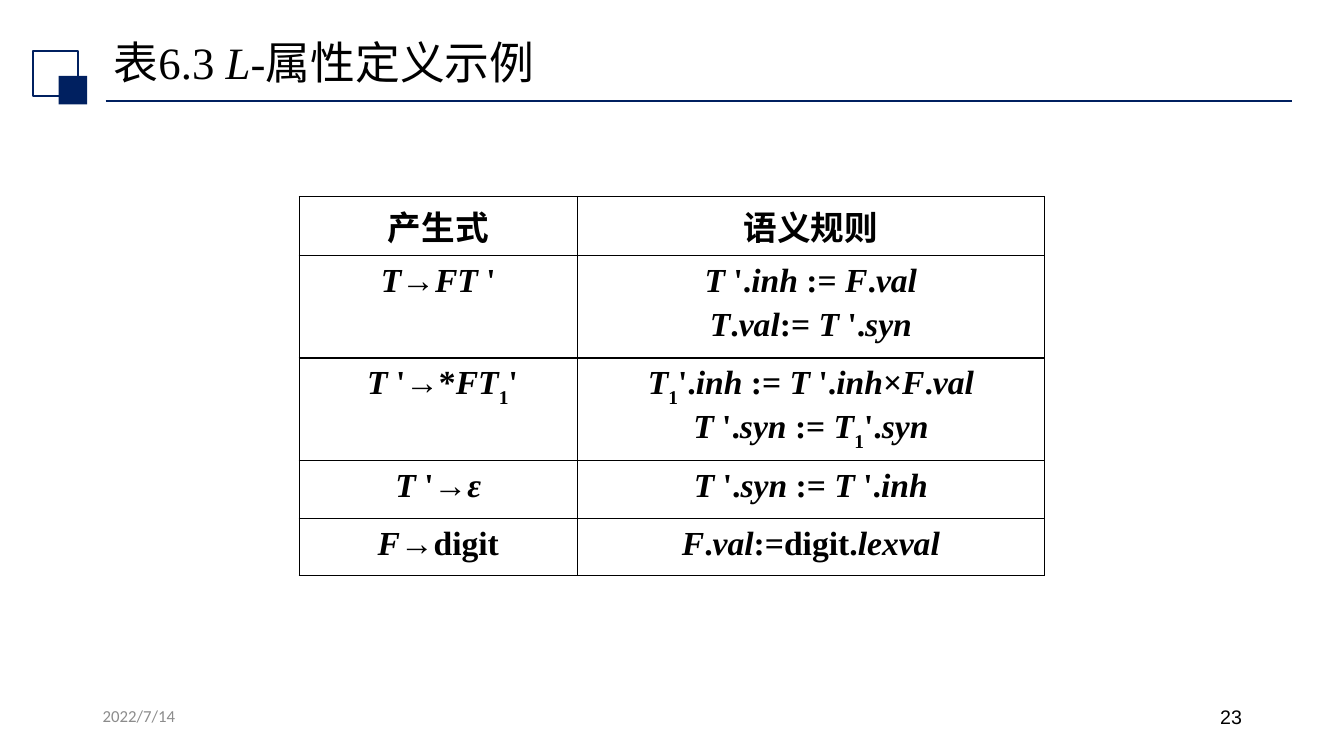
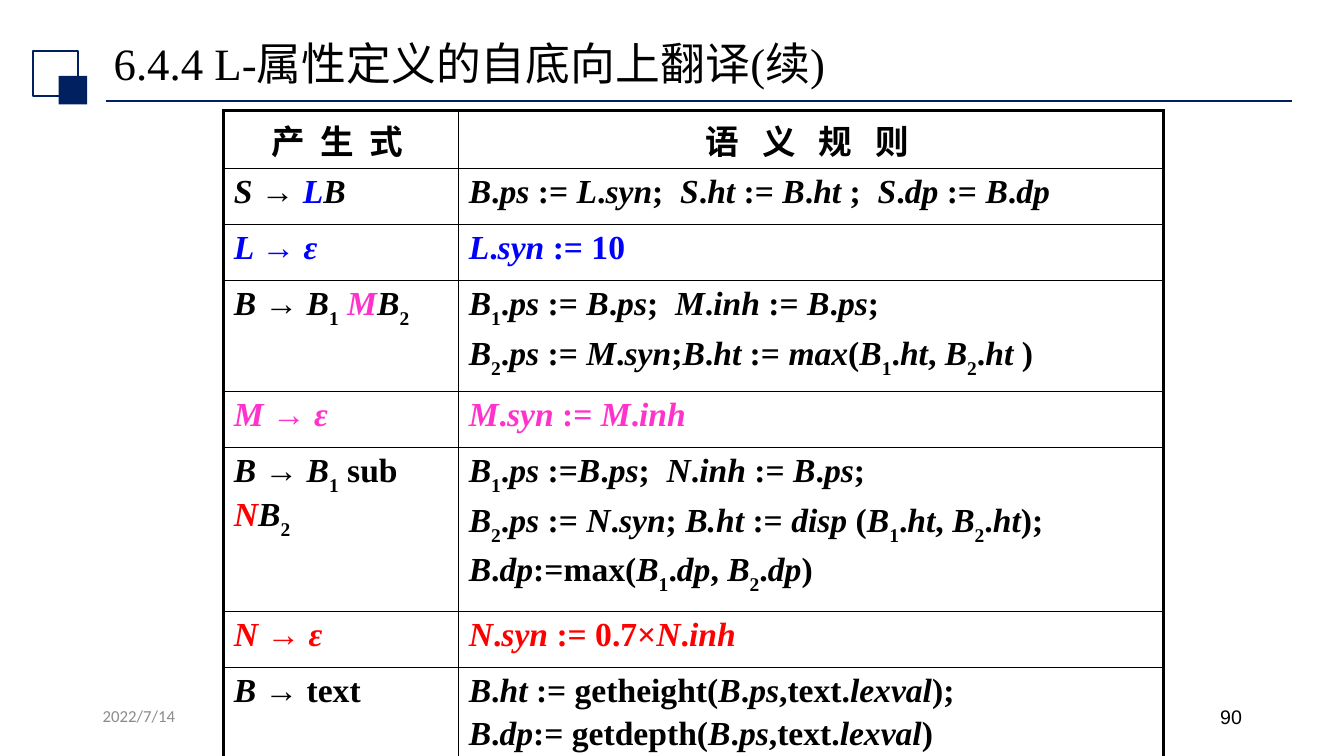
from itertools import groupby

from lxml.etree import SubElement
from pptx import Presentation
from pptx.dml.color import RGBColor
from pptx.enum.shapes import MSO_CONNECTOR, MSO_SHAPE
from pptx.enum.text import MSO_ANCHOR, PP_ALIGN
from pptx.oxml.ns import qn
from pptx.util import Cm, Pt

NAVY, BLACK, GRAY = "002060", "000000", "8C8C8C"
SERIF, HAN = "Times New Roman", "Noto Sans CJK SC"
TINTS = {"@": "0000FF", "#": "FF33CC", "$": "FF0000"}
MARKS = "_^" + "".join(TINTS)

LROWS = [
    ("产生式", "语义规则"),
    ("_T_→_FT _'", "_T _'._inh_ := _F_._val_\n_T_._val_:=_ T _'._syn_"),
    ("_ T _'→*_FT_^1^'",
     "_T_^1^'._inh_ := _T _'._inh_×_F_._val_\n_T _'._syn _:=_ T_^1^'._syn_"),
    ("_T _'→_ε_", "_T _'._syn_ := _T _'._inh_"),
    ("_F_→digit", "_F_._val_:=digit._lexval_"),
]
BROWS = [
    ("产  生  式 ", "语   义   规   则 "),
    ("_S _→ @_L@B_",
     "_B_._ps_ := _L_._syn_;  _S_._ht_ := _B_._ht_ ;  _S_._dp_ := _B_._dp_"),
    ("@_L _→ _ε_", "@_L_._syn _:= 10"),
    ("_B _→_ B_^1^ #_M#B_^2^",
     "_B_^1^._ps_ := _B_._ps_;  _M_._inh_ := _B_._ps_;\n"
     "_B_^2^._ps_ :=_ M_._syn_;_B_._ht_ := _max_(_B_^1^._ht_, _B_^2^._ht _) "),
    ("#_M _→ _ε_", "#_M_._syn _:= _M_._inh_"),
    ("_B _→_ B_^1^ sub $_N$B_^2^",
     "_B_^1^._ps_ :=_B_._ps_;  _N_._inh_ := _B_._ps_;\n"
     "_B_^2^._ps_ := _N_._syn_; _B.ht_ := _disp_ (_B_^1^._ht_, _B_^2^._ht_);\n"
     "_B_._dp_:=max(_B_^1^._dp_, _B_^2^._dp_) "),
    ("$_N _→ _ε_", "$_N_._syn _:= 0.7×_N_._inh_"),
    ("_B _→ text",
     "_B_._ht_ := getheight(_B_._ps_,text._lexval_);\n"
     "_B_._dp_:= getdepth(_B_._ps_,text._lexval_)"),
]


def tone(code):
    """Turn a hex string into a colour."""
    return RGBColor.from_string(code)


def style(run, size, face=SERIF, tint=BLACK, bold=False):
    """Format one run, with the Han font beside the Latin one."""
    font = run.font
    font.size, font.name, font.bold = Pt(size), face, bold
    font.color.rgb = tone(tint)
    SubElement(run._r.get_or_add_rPr(), qn("a:ea"), typeface=HAN)


def write(para, text, size, bold=False):
    """Fill a paragraph: _ slants, ^ lowers, @ # $ tint, each until repeated."""
    active = set()
    for mark, group in groupby(text, lambda sign: sign in MARKS):
        if mark:
            active ^= set(group)
            continue
        run = para.add_run()
        run.text = "".join(group)
        tint = next((TINTS[key] for key in TINTS if key in active), BLACK)
        style(run, size, tint=tint, bold=bold)
        run.font.italic = "_" in active
        if "^" in active:
            run._r.get_or_add_rPr().set("baseline", "-30000")


def label(slide, left, text, size, face, tint, align):
    """Add one footer text."""
    box = slide.shapes.add_textbox(Cm(left), Cm(17.65), Cm(7.62), Cm(1.02))
    frame = box.text_frame
    frame.word_wrap = True
    frame.text = text
    para = frame.paragraphs[0]
    para.alignment = align
    style(para.runs[0], size, face, tint)


def square(slide, left, top, side, solid):
    """Add one square of the corner mark."""
    box = slide.shapes.add_shape(
        MSO_SHAPE.RECTANGLE, Cm(left), Cm(top), Cm(side), Cm(side))
    box.shadow.inherit = False
    if solid:
        box.fill.solid()
        box.fill.fore_color.rgb = tone(NAVY)
        box.line.fill.background()
    else:
        box.fill.background()
        box.line.color.rgb = tone(NAVY)
        box.line.width = Pt(1.5)


def rule(slide):
    """Draw the line under the title."""
    line = slide.shapes.add_connector(
        MSO_CONNECTOR.STRAIGHT, Cm(2.66), Cm(2.55), Cm(32.55), Cm(2.55))
    line.line.color.rgb = tone(NAVY)
    line.line.width = Pt(1.25)
    SubElement(line._element.spPr, qn("a:effectLst"))


def page(deck, title, number, anchor):
    """Add a slide with its title, corner mark, rule and footer."""
    slide = deck.slides.add_slide(deck.slide_layouts[5])
    rule(slide)
    square(slide, 0.83, 1.29, 1.14, False)
    square(slide, 1.48, 1.91, 0.72, True)
    head = slide.shapes.title
    head.left, head.top = Cm(2.61), Cm(0.86)
    head.width, head.height = Cm(29.21), Cm(1.55)
    frame = head.text_frame
    frame.vertical_anchor = anchor
    para = frame.paragraphs[0]
    para.alignment, para.line_spacing = PP_ALIGN.LEFT, 0.9
    write(para, title, 32)
    label(slide, 2.34, "2022/7/14", 12, "Calibri", GRAY, PP_ALIGN.LEFT)
    label(slide, 23.93, number, 14, "Arial", BLACK, PP_ALIGN.RIGHT)
    return slide


def border(cell, sides):
    """Draw the cell edges; sides maps L, R, T, B to points."""
    props = cell._tc.get_or_add_tcPr()
    for side in "LRTB":
        line = SubElement(props, qn("a:ln" + side), w=str(Pt(sides[side])))
        fill = SubElement(line, qn("a:solidFill"))
        SubElement(fill, qn("a:srgbClr"), val=BLACK)


def fill(cell, text, align, pitch=None, gap=0):
    """Write the lines of a cell, with a gap between them or a fixed pitch."""
    frame = cell.text_frame
    for place, line in enumerate(text.split("\n")):
        para = frame.add_paragraph() if place else frame.paragraphs[0]
        para.alignment = align
        para.space_before = Pt(gap if place else 0)
        if pitch:
            para.line_spacing = Pt(pitch)
        write(para, line, 24, True)
    if pitch:
        cell.margin_top = Cm(0.16 if "^" in text else 0)


def grid(slide, left, top, cols, highs, rows, edge, align, **lead):
    """Add a table of rules with an outer edge of its own width."""
    shape = slide.shapes.add_table(
        len(rows), len(cols), Cm(left), Cm(top), Cm(sum(cols)), Cm(sum(highs)))
    table = shape.table
    table.first_row = table.horz_banding = False
    for col, wide in zip(table.columns, cols):
        col.width = Cm(wide)
    for y, (row, high) in enumerate(zip(rows, highs)):
        table.rows[y].height = Cm(high)
        for x, text in enumerate(row):
            cell = table.cell(y, x)
            outer = {"L": x == 0, "R": x == len(cols) - 1,
                     "T": y == 0, "B": y == len(rows) - 1}
            border(cell, {side: edge if far else 1
                          for side, far in outer.items()})
            cell.fill.background()
            if y:
                fill(cell, text, align, **lead)
            else:
                fill(cell, text, PP_ALIGN.CENTER)


def main():
    """Build and save the deck."""
    deck = Presentation()
    deck.slide_width, deck.slide_height = Cm(33.87), Cm(19.05)
    slide = page(deck, "表6.3 _L_-属性定义示例", "23", MSO_ANCHOR.MIDDLE)
    grid(slide, 7.54, 4.95, (7.01, 11.77), (1.48, 2.59, 2.59, 1.45, 1.45),
         LROWS, 1, PP_ALIGN.CENTER, pitch=31.5)
    slide = page(deck, "6.4.4 L-属性定义的自底向上翻译(续)", "90",
                 MSO_ANCHOR.BOTTOM)
    grid(slide, 5.64, 2.79, (5.92, 17.76),
         (1.46, 1.41, 1.41, 2.49, 1.41, 3.71, 1.41, 2.47),
         BROWS, 2.25, PP_ALIGN.LEFT, gap=4)
    deck.save("out.pptx")


if __name__ == "__main__":
    main()
